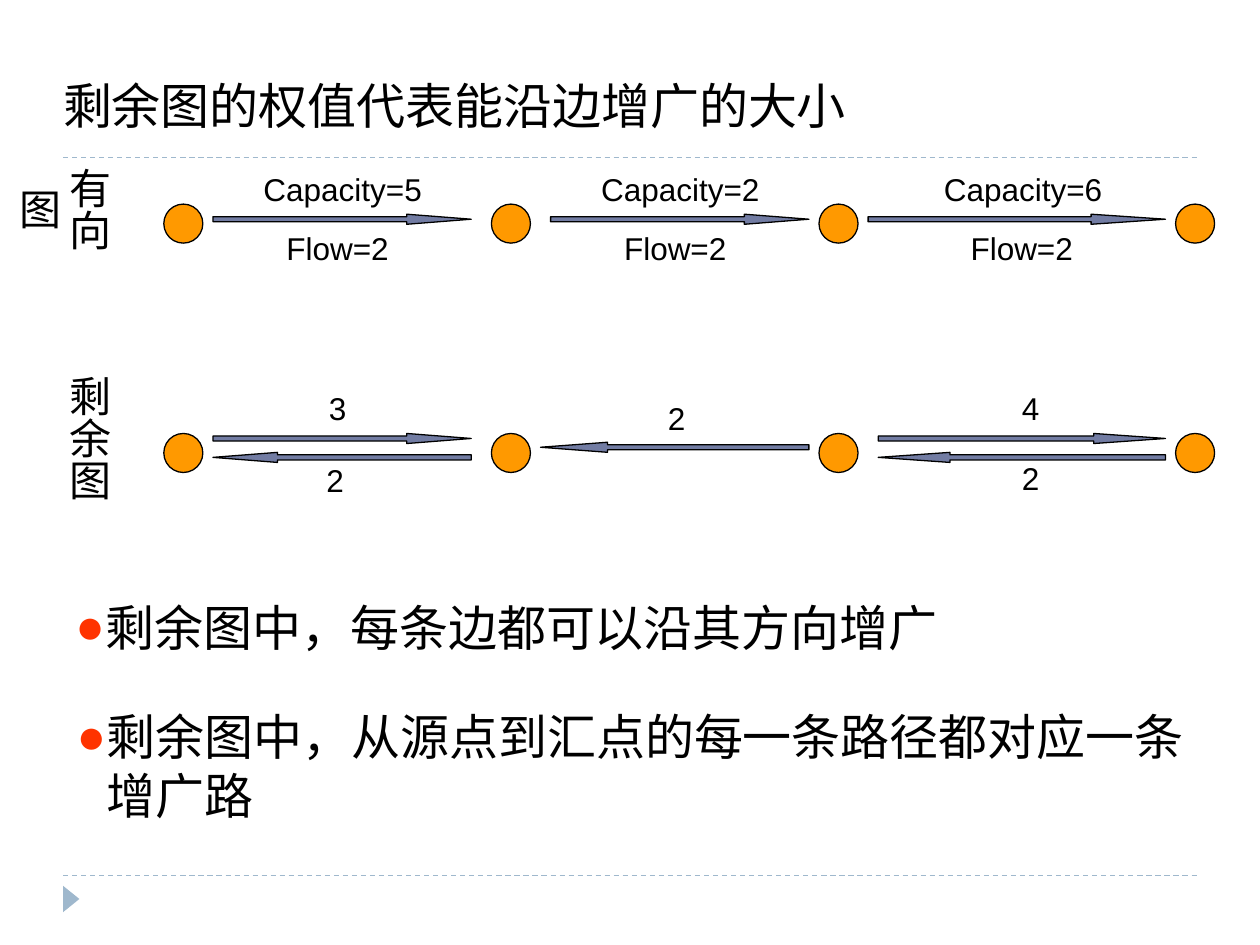
from dataclasses import dataclass

from lxml import etree
from pptx import Presentation
from pptx.dml.color import RGBColor
from pptx.enum import dml, shapes, text
from pptx.oxml import ns
from pptx.util import Inches, Pt


@dataclass(frozen=True)
class Theme:
    font: str = "Arial"
    ink: str = "000000"
    node: str = "FF9900"
    arrow: str = "727CA3"
    rule: str = "9FB8CD"
    bullet: str = "FF3300"
    heading: int = 28
    caption: int = 24
    label: int = 18
    outline: float = 0.75


@dataclass(frozen=True)
class Box:
    left: float
    top: float
    width: float
    height: float

    def inches(self):
        return [Inches(v) for v in (self.left, self.top, self.width, self.height)]


THEME = Theme()
NODE_SIZE = 0.31
NODE_LEFTS = (0.94, 3.54, 6.14, 8.97)
ARROW_HEIGHT = 0.08
HEAD_SHARE = 0.25
LABEL_WIDTH = 1.8
RIGHT = shapes.MSO_SHAPE.RIGHT_ARROW
LEFT = shapes.MSO_SHAPE.LEFT_ARROW


def rgb(color):
    return RGBColor.from_string(color)


def style_text(paragraph, size, align=text.PP_ALIGN.LEFT):
    paragraph.alignment = align
    font = paragraph.font
    font.name, font.size = THEME.font, Pt(size)
    font.color.rgb = rgb(THEME.ink)


def add_text(parent, box, words, size, align=text.PP_ALIGN.CENTER):
    frame = parent.add_textbox(*box.inches()).text_frame
    frame.word_wrap = True
    frame.auto_size = text.MSO_AUTO_SIZE.NONE
    frame.text = words
    style_text(frame.paragraphs[0], size, align)
    return frame


def add_filled(parent, kind, box, fill, outlined=True):
    figure = parent.add_shape(kind, *box.inches())
    figure.shadow.inherit = False
    figure.fill.solid()
    figure.fill.fore_color.rgb = rgb(fill)
    if outlined:
        figure.line.color.rgb = rgb(THEME.ink)
        figure.line.width = Pt(THEME.outline)
    else:
        figure.line.fill.background()
    return figure


def add_rule(slide, left, right, y):
    rule = slide.shapes.add_connector(
        shapes.MSO_CONNECTOR.STRAIGHT, Inches(left), Inches(y), Inches(right), Inches(y))
    rule.line.color.rgb = rgb(THEME.rule)
    rule.line.width = Pt(THEME.outline)
    rule.line.dash_style = dml.MSO_LINE.DASH
    etree.SubElement(rule._element.spPr, ns.qn("a:effectLst"))


def add_frame(slide, box):
    for y in (box.top, box.top + box.height):
        add_rule(slide, box.left, box.left + box.width, y)
    marker_box = Box(box.left - 0.04, box.top + box.height + 0.12, 0.21, 0.13)
    marker = add_filled(slide.shapes, shapes.MSO_SHAPE.ISOSCELES_TRIANGLE,
                        marker_box, THEME.rule, outlined=False)
    marker.rotation = 90


def add_title(slide, box, words):
    title = slide.shapes.title
    title.left, title.top, title.width, title.height = box.inches()
    frame = title.text_frame
    frame.text = words
    frame.word_wrap = True
    frame.auto_size = text.MSO_AUTO_SIZE.NONE
    frame.vertical_anchor = text.MSO_ANCHOR.TOP
    style_text(frame.paragraphs[0], THEME.heading)


def add_graph(slide, box, caption, node_top, arrows, labels):
    graph = slide.shapes.add_group_shape().shapes
    for left in NODE_LEFTS:
        node_box = Box(box.left + left, box.top + node_top, NODE_SIZE, NODE_SIZE)
        add_filled(graph, shapes.MSO_SHAPE.FLOWCHART_CONNECTOR, node_box, THEME.node)
    for direction, left, top, length in arrows:
        arrow_box = Box(box.left + left, box.top + top, length, ARROW_HEIGHT)
        arrow = add_filled(graph, direction, arrow_box, THEME.arrow)
        arrow.adjustments[0] = 0.5
        arrow.adjustments[1] = length * HEAD_SHARE / ARROW_HEIGHT
    for words, center, top in labels:
        label_box = Box(box.left + center - LABEL_WIDTH / 2, box.top + top, LABEL_WIDTH, 0.4)
        add_text(graph, label_box, words, THEME.label)
    frame = add_text(graph, Box(box.left, box.top, 0.6, box.height), caption, THEME.caption)
    frame.margin_left = frame.margin_right = Inches(0.05)
    frame.margin_top = frame.margin_bottom = Inches(0.1)
    frame._txBody.bodyPr.set("vert", "eaVert")


def add_point(slide, box, words):
    frame = add_text(slide.shapes, box, words, THEME.heading, text.PP_ALIGN.LEFT)
    props = frame.paragraphs[0]._p.get_or_add_pPr()
    hanging = Inches(0.24)
    props.set("marL", str(hanging))
    props.set("indent", str(-hanging))
    color = etree.Element(ns.qn("a:buClr"))
    etree.SubElement(color, ns.qn("a:srgbClr"), val=THEME.bullet)
    face = etree.Element(ns.qn("a:buFont"), typeface=THEME.font)
    sign = etree.Element(ns.qn("a:buChar"), char="●")
    defaults = props.find(ns.qn("a:defRPr"))
    for part in (color, face, sign):
        defaults.addprevious(part)


def main():
    deck = Presentation()
    deck.slide_width, deck.slide_height = Inches(10), Inches(7.5)
    slide = deck.slides.add_slide(deck.slide_layouts[5])

    add_frame(slide, Box(0.5, 1.25, 9, 5.7))
    add_title(slide, Box(0.4, 0.55, 6.6, 0.57), "剩余图的权值代表能沿边增广的大小")
    add_graph(
        slide, Box(0.36, 1.23, 9.28, 1.18), "有向图", 0.39,
        [(RIGHT, 1.33, 0.47, 2.05), (RIGHT, 4.01, 0.47, 2.05), (RIGHT, 6.53, 0.47, 2.36)],
        [("Capacity=5", 2.36, 0.07), ("Capacity=2", 5.04, 0.07), ("Capacity=6", 7.76, 0.07),
         ("Flow=2", 2.32, 0.54), ("Flow=2", 5, 0.54), ("Flow=2", 7.75, 0.54)])
    add_graph(
        slide, Box(0.36, 2.88, 9.28, 1.34), "剩余图", 0.56,
        [(RIGHT, 1.33, 0.56, 2.05), (LEFT, 1.33, 0.71, 2.05), (LEFT, 3.93, 0.63, 2.13),
         (RIGHT, 6.61, 0.56, 2.28), (LEFT, 6.61, 0.71, 2.28)],
        [("3", 2.32, 0.16), ("2", 2.3, 0.73), ("2", 5.01, 0.24),
         ("4", 7.82, 0.16), ("2", 7.82, 0.71)])
    add_point(slide, Box(0.5, 4.69, 7.19, 1.04), "剩余图中，每条边都可以沿其方向增广")
    add_point(slide, Box(0.51, 5.56, 9.18, 1.04),
              "剩余图中，从源点到汇点的每一条路径都对应一条增广路")

    deck.save("out.pptx")


if __name__ == "__main__":
    main()
